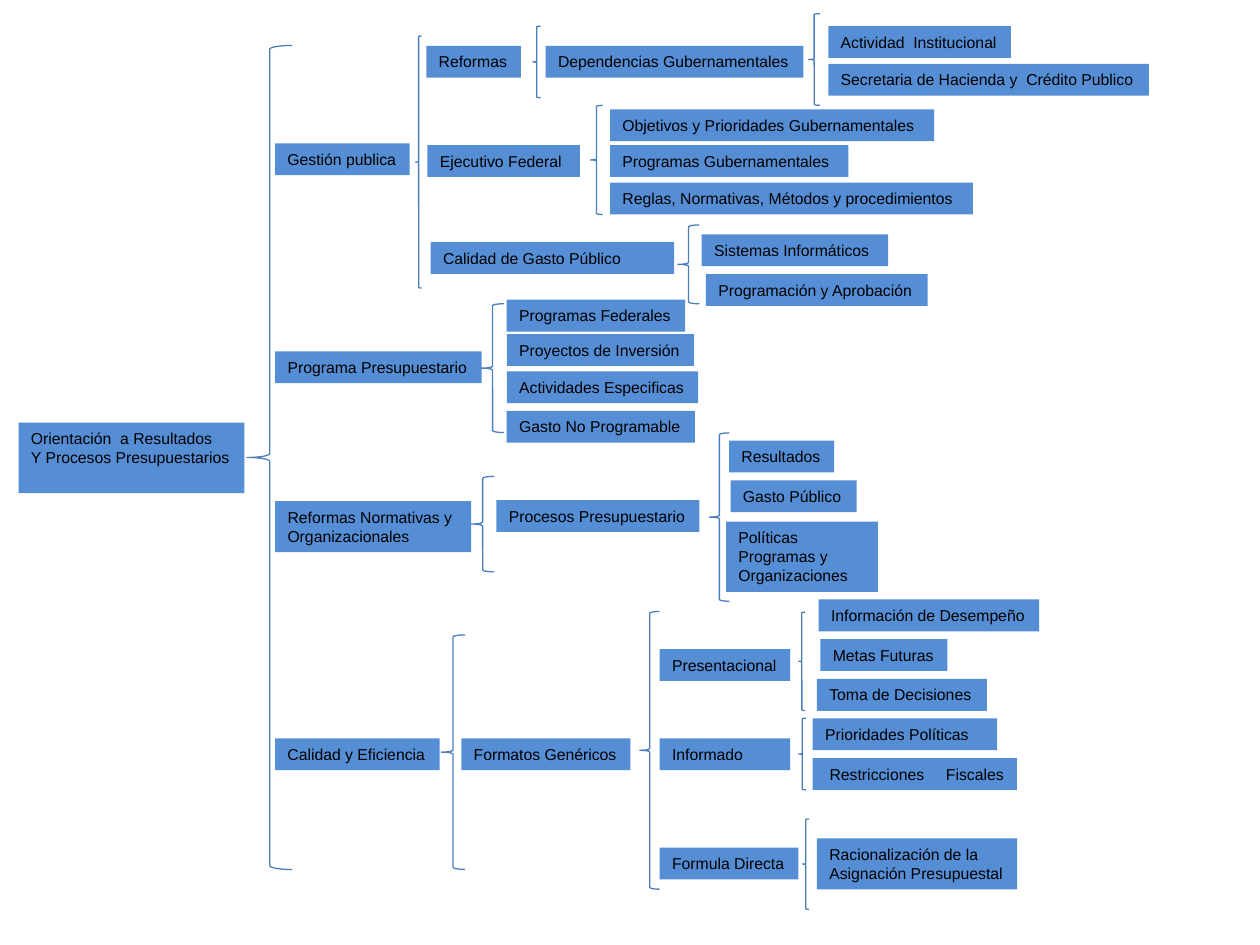
from lxml import etree
from pptx import Presentation
from pptx.dml.color import RGBColor
from pptx.enum import shapes, text
from pptx.oxml.ns import qn
from pptx.util import Pt

BLUE = RGBColor(0x55, 0x8E, 0xD5)
BRACE_BLUE = RGBColor(0x4B, 0x7E, 0xBC)
BLACK = RGBColor(0, 0, 0)


class Diagram:
    """Style and current slide of a brace diagram; lengths in points."""
    font, size = "Arial", 9
    pad, line_height = 7.2, 11

    def __init__(self, slide):
        self.slide = slide

    def label(self, wording, x, y, width, rows=None, indent=0, tab=None):
        lines = wording.split("\n")
        height = 7.2 + self.line_height * (rows or len(lines))
        box = self.slide.shapes.add_textbox(Pt(x), Pt(y), Pt(width), Pt(height))
        box.fill.solid()
        box.fill.fore_color.rgb = BLUE
        frame = box.text_frame
        frame.word_wrap = True
        frame.auto_size = text.MSO_AUTO_SIZE.NONE
        frame.vertical_anchor = text.MSO_ANCHOR.TOP
        frame.margin_left, frame.margin_right = Pt(self.pad + indent), 0
        for number, line in enumerate(lines):
            paragraph = frame.add_paragraph() if number else frame.paragraphs[0]
            run = paragraph.add_run()
            run.text = line
            run.font.name, run.font.size = self.font, Pt(self.size)
            run.font.color.rgb = BLACK
            if tab:
                stops = etree.SubElement(paragraph._p.get_or_add_pPr(), qn("a:tabLst"))
                etree.SubElement(stops, qn("a:tab"), pos=str(Pt(tab)), algn="l")

    def brace(self, x, y, width, height):
        brace = self.slide.shapes.add_shape(
            shapes.MSO_SHAPE.LEFT_BRACE, Pt(x), Pt(y), Pt(width), Pt(height))
        brace.shadow.inherit = False
        brace.fill.background()
        brace.line.color.rgb = BRACE_BLUE
        brace.line.width = Pt(0.75)

    def group(self, brace, labels):
        self.brace(*brace)
        for label in labels:
            self.label(*label)


deck = Presentation()
deck.slide_width, deck.slide_height = Pt(720), Pt(540)
diagram = Diagram(deck.slides.add_slide(deck.slide_layouts[6]))

# Left edges shared by several labels
BRANCH, PROGRAM, EXECUTIVE, FORMAT = 157.2, 289.6, 348.6, 377

# Root
diagram.label("Orientación  a Resultados\nY Procesos Presupuestarios", 10.6, 241.6, 129.1, 3)

# Each group: brace (x, y, width, height) and the labels it opens
GROUPS = [
    # Main branches
    ((141.1, 26, 26, 470.9), [
        ("Gestión publica", BRANCH, 81.9, 77),
        ("Programa Presupuestario", BRANCH, 200.8, 118),
        ("Reformas Normativas y\nOrganizacionales", BRANCH, 286.4, 112),
        ("Calidad y Eficiencia", BRANCH, 422, 94)]),
    # Public management
    ((237.5, 20.6, 3.5, 144), [
        ("Reformas", 243.6, 26.2, 54),
        ("Ejecutivo Federal", 244.3, 82.9, 87.2),
        ("Calidad de Gasto Público", 246.1, 138.4, 139.2)]),
    ((304.5, 15, 4.4, 40.8), [
        ("Dependencias Gubernamentales", 311.8, 26.2, 147.3)]),
    ((462, 7.8, 6.5, 52.4), [
        ("Actividad  Institucional", 473.3, 14.9, 104.4),
        ("Secretaria de Hacienda y  Crédito Publico", 473.3, 36.5, 183.2)]),
    ((337.4, 60.2, 7, 62.4), [
        ("Objetivos y Prioridades Gubernamentales", EXECUTIVE, 62.5, 185.2),
        ("Programas Gubernamentales", EXECUTIVE, 82.9, 136.2),
        ("Reglas, Normativas, Métodos y procedimientos", EXECUTIVE, 104.4, 207.4)]),
    ((387.4, 128.6, 12.2, 45), [
        ("Sistemas Informáticos", 401, 134, 106.5),
        ("Programación y Aprobación", 403.4, 156.7, 126.7)]),
    # Budget programme
    ((275, 173.6, 13, 73.6), [
        ("Programas Federales", PROGRAM, 171.3, 102),
        ("Proyectos de Inversión", PROGRAM, 190.9, 107),
        ("Actividades Especificas", PROGRAM, 212.3, 109.4),
        ("Gasto No Programable", PROGRAM, 234.8, 107.5)]),
    # Regulatory reforms
    ((269.3, 272.2, 13, 54.5), [
        ("Procesos Presupuestario", 283.7, 285.8, 116)]),
    ((405.4, 247.4, 11.4, 96.2), [
        ("Resultados", 416.6, 251.8, 60),
        ("Gasto Público", 417.5, 274.5, 72),
        ("Políticas Programas y Organizaciones", 414.9, 298.1, 86.8, 3)]),
    # Quality and efficiency
    ((252.2, 362.8, 13.4, 134), [
        ("Formatos Genéricos", 263.6, 422, 96.7)]),
    ((365.6, 349.4, 11.3, 158.7), [
        ("Presentacional", FORMAT, 371, 74.6),
        ("Informado", FORMAT, 422, 74.6),
        ("Formula Directa", FORMAT, 484.4, 79.2)]),
    ((456.4, 349.8, 3.6, 56.2), [
        ("Información de Desempeño", 467.8, 342.6, 126),
        ("Metas Futuras", 468.8, 365.2, 72.6),
        ("Toma de Decisiones", 466.8, 388, 97.2)]),
    ((456.4, 410.4, 4.2, 41), [
        ("Prioridades Políticas", 464.4, 410.5, 105.4),
        ("Restricciones\tFiscales", 464.4, 433.2, 116.8, 1, 2.5, 66.5)]),
    ((458.6, 468, 3.6, 51.6), [
        ("Racionalización de la\nAsignación Presupuestal", 466.8, 479.1, 114.5)]),
]
for brace, labels in GROUPS:
    diagram.group(brace, labels)

deck.save("out.pptx")
